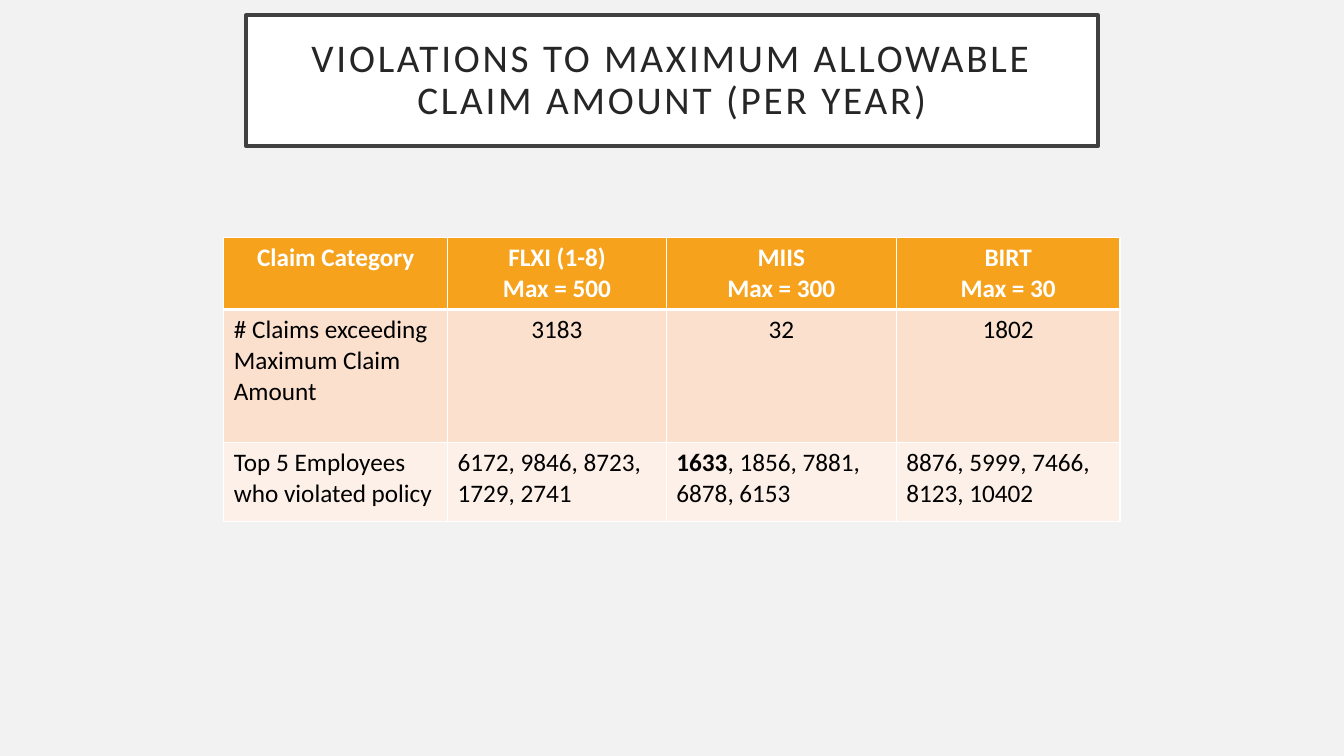
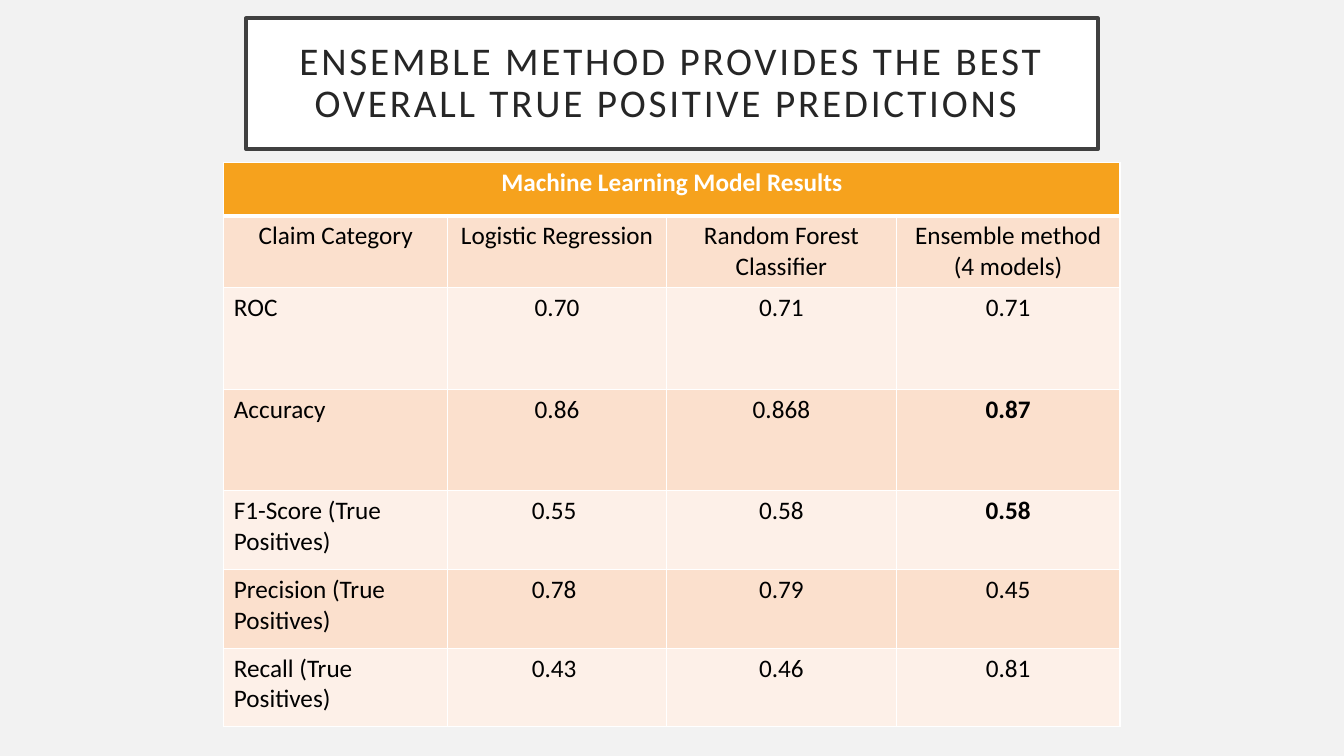
from pptx import Presentation
from pptx import util as u
from pptx.dml.color import RGBColor
from pptx.enum import text
from pptx.oxml import parse_xml
from pptx.oxml.ns import nsdecls

# Content: **text** is bold, a line feed starts a new paragraph
SLIDES = [
    {
        "title": "VIOLATIONS TO MAXIMUM ALLOWABLE CLAIM AMOUNT (PER YEAR)",
        "title_top": 0.13,
        "table_top": 2.36,
        "row_heights": [0.7, 1.32, 0.78],
        "label_rows": {0},
        "prose_rows": {2},
        "rows": [
            ["Claim Category", "FLXI (1-8)\nMax = 500", "MIIS\nMax = 300", "BIRT\nMax = 30"],
            ["# Claims exceeding Maximum Claim Amount", "3183", "32", "1802"],
            ["Top 5 Employees who violated policy", "6172, 9846, 8723, 1729, 2741 ",
             "**1633**, 1856, 7881, 6878, 6153", "8876, 5999, 7466, 8123, 10402"],
        ],
    },
    {
        "title": "ENSEMBLE METHOD PROVIDES THE BEST OVERALL TRUE POSITIVE PREDICTIONS ",
        "title_top": 0.18,
        "table_top": 1.61,
        "row_heights": [0.53, 0.7, 1.01, 1.01, 0.78, 0.78, 0.78],
        "label_rows": {0, 1},
        "prose_rows": set(),
        "rows": [
            ["Machine Learning Model Results"],
            ["Claim Category", "Logistic Regression", "Random Forest Classifier",
             "Ensemble method (4 models)"],
            ["ROC ", "0.70", "0.71", "0.71"],
            ["Accuracy", "0.86", "0.868", "**0.87**"],
            ["F1-Score (True Positives)", "0.55 ", "0.58", "**0.58**"],
            ["Precision (True Positives)", "0.78 ", "0.79", "0.45"],
            ["Recall (True Positives)", "0.43 ", "0.46", "0.81"],
        ],
    },
]
SLIDES[0]["title_top"] = 0.15

# Shared look
PAPER = RGBColor(0xF2, 0xF2, 0xF2)
WHITE = RGBColor(0xFF, 0xFF, 0xFF)
BLACK = RGBColor(0, 0, 0)
FRAME = RGBColor(0x40, 0x40, 0x40)
TITLE_INK = RGBColor(0x26, 0x26, 0x26)
ORANGE = RGBColor(0xF6, 0xA2, 0x1D)
BANDS = [RGBColor(0xFD, 0xF0, 0xE8), RGBColor(0xFB, 0xE0, 0xCD)]
FONT = "Calibri"
COLUMNS = [2.22, 2.17, 2.28, 2.22]
TABLE_LEFT = 2.22
CENTER, LEFT = text.PP_ALIGN.CENTER, text.PP_ALIGN.LEFT
TITLE_FRAME = {
    "word_wrap": True,
    "auto_size": text.MSO_AUTO_SIZE.NONE,
    "vertical_anchor": text.MSO_ANCHOR.MIDDLE,
    **{f"margin_{side}": u.Inches(0.2) for side in ("left", "top", "right", "bottom")},
}


def apply(target, values):
    for name, value in values.items():
        setattr(target, name, value)


def style_font(font, size, color, bold=False):
    apply(font, {"name": FONT, "size": u.Pt(size), "bold": bold})
    font.color.rgb = color


def add_title(slide, words, top):
    title = slide.shapes.title
    apply(title, {"left": u.Inches(2.44), "top": u.Inches(top),
                  "width": u.Inches(8.45), "height": u.Inches(1.3)})
    title.fill.solid()
    title.fill.fore_color.rgb = WHITE
    title.line.color.rgb = FRAME
    title.line.width = u.Pt(2.5)
    apply(title.text_frame, TITLE_FRAME)
    heading = title.text_frame.paragraphs[0]
    apply(heading, {"alignment": CENTER, "line_spacing": 0.9})
    run = heading.add_run()
    run.text = words
    style_font(run.font, 28, TITLE_INK)
    run.font._element.set("spc", "200")


def add_borders(cell, row):
    # The rule under the header row is thicker
    widths = {"L": 1, "R": 1, "T": 3 if row == 1 else 1, "B": 3 if row == 0 else 1}
    properties = cell._tc.get_or_add_tcPr()
    for place, (side, width) in enumerate(widths.items()):
        properties.insert(place, parse_xml(
            f'<a:ln{side} {nsdecls("a")} w="{u.Pt(width)}"><a:solidFill>'
            f'<a:srgbClr val="{WHITE}"/></a:solidFill></a:ln{side}>'))


def fill_cell(cell, words, row, alignment):
    header = row == 0
    cell.fill.solid()
    cell.fill.fore_color.rgb = ORANGE if header else BANDS[row % 2]
    add_borders(cell, row)
    for index, line in enumerate(words.split("\n")):
        frame = cell.text_frame
        paragraph = frame.add_paragraph() if index else frame.paragraphs[0]
        paragraph.alignment = alignment
        for part, piece in enumerate(line.split("**")):
            if piece:
                run = paragraph.add_run()
                run.text = piece
                style_font(run.font, 18, WHITE if header else BLACK, header or part % 2 == 1)


def add_results(slide, content):
    rows, heights = content["rows"], content["row_heights"]
    table = slide.shapes.add_table(
        len(rows), len(COLUMNS), u.Inches(TABLE_LEFT), u.Inches(content["table_top"]),
        u.Inches(sum(COLUMNS)), u.Inches(sum(heights))).table
    for column, width in zip(table.columns, COLUMNS):
        column.width = u.Inches(width)
    for r, (cells, height) in enumerate(zip(rows, heights)):
        table.rows[r].height = u.Inches(height)
        if len(cells) == 1:
            table.cell(r, 0).merge(table.cell(r, len(COLUMNS) - 1))
        for c in range(len(COLUMNS)):
            to_left = r in content["prose_rows"] or (c == 0 and r not in content["label_rows"])
            fill_cell(table.cell(r, c), cells[c] if c < len(cells) else "", r,
                      LEFT if to_left else CENTER)


# Build
prs = Presentation()
apply(prs, {"slide_width": u.Inches(13.33), "slide_height": u.Inches(7.5)})
backdrop = prs.slide_master.background.fill
backdrop.solid()
backdrop.fore_color.rgb = PAPER
title_only = prs.slide_layouts.get_by_name("Title Only")

for content in SLIDES:
    slide = prs.slides.add_slide(title_only)
    add_title(slide, content["title"], content["title_top"])
    add_results(slide, content)

prs.save("out.pptx")
